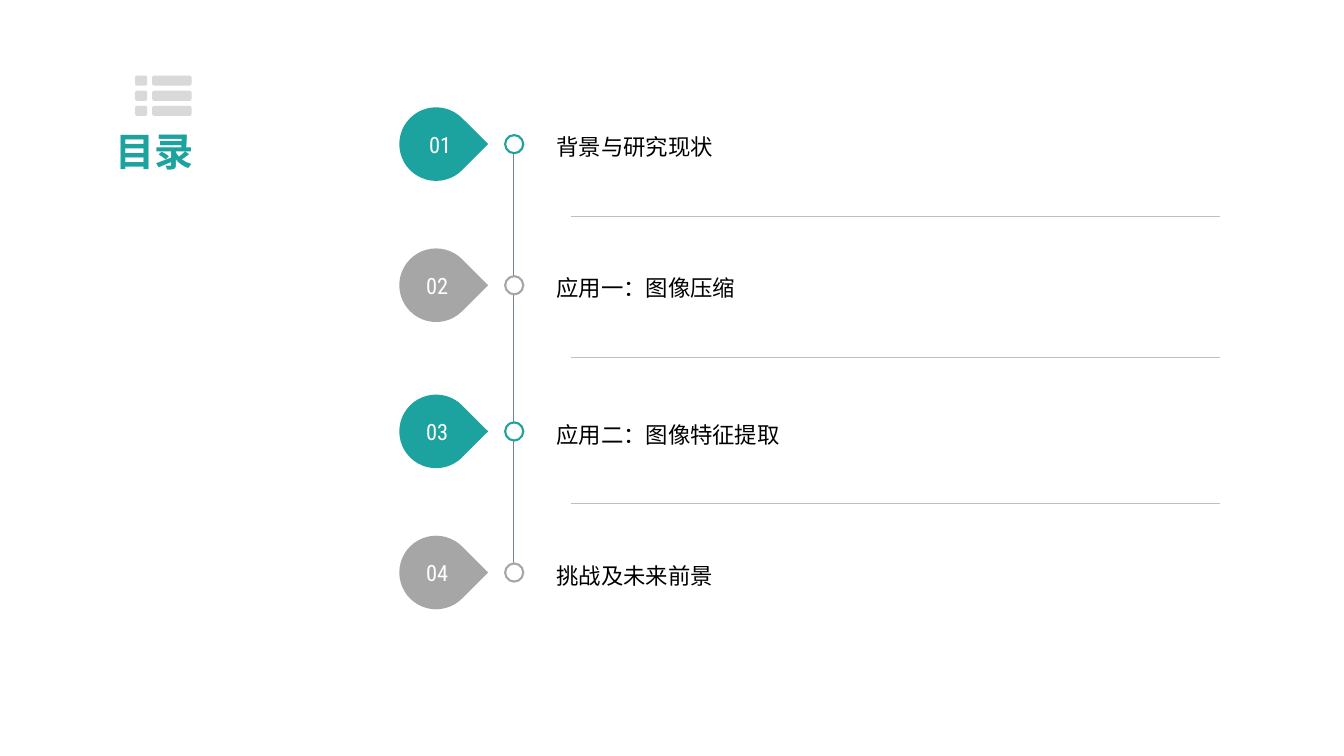
import lxml.etree
import pptx
import pptx.dml.color
import pptx.enum.shapes
import pptx.enum.text
import pptx.oxml.ns
import pptx.util

Inches = pptx.util.Inches
Pt = pptx.util.Pt
SHAPE = pptx.enum.shapes.MSO_SHAPE
ALIGN = pptx.enum.text.PP_ALIGN

COLORS = {
    "teal": "1CA39F",
    "gray": "A6A6A6",
    "icon": "D9D9D9",
    "axis": "768394",
    "rule": "BFBFBF",
    "white": "FFFFFF",
    "black": "000000",
}
TITLE = {"size": Pt(28), "name": "Arial", "bold": True}
NUMBER = {"size": Pt(16), "name": "Roboto Condensed"}
ENTRY = {"size": Pt(16), "name": "Arial"}

ROWS = [
    ("01", "背景与研究现状", "teal", 1.43, 0.03),
    ("02", "应用一：图像压缩", "gray", 2.83, 0),
    ("03", "应用二：图像特征提取", "teal", 4.28, 0),
    ("04", "挑战及未来前景", "gray", 5.68, 0),
]


def rgb(name):
    return pptx.dml.color.RGBColor.from_string(COLORS[name])


def add_shape(s, kind, x, y, w, h, fill=None, line=None):
    sp = s.shapes.add_shape(kind, Inches(x), Inches(y), Inches(w), Inches(h))
    sp.shadow.inherit = False
    if fill:
        sp.fill.solid()
        sp.fill.fore_color.rgb = rgb(fill)
    else:
        sp.fill.background()
    if line:
        sp.line.color.rgb = rgb(line)
        sp.line.width = Pt(1.5)
    else:
        sp.line.fill.background()
    return sp


def add_line(s, x1, y1, x2, y2, color, width):
    cxn = s.shapes.add_connector(
        pptx.enum.shapes.MSO_CONNECTOR.STRAIGHT,
        Inches(x1), Inches(y1), Inches(x2), Inches(y2))
    cxn.line.color.rgb = rgb(color)
    cxn.line.width = Pt(width)
    lxml.etree.SubElement(cxn.element.spPr, pptx.oxml.ns.qn("a:effectLst"))


def set_text(sp, text, font, color, align, wrap=True, spacing=None):
    tf = sp.text_frame
    tf.word_wrap = wrap
    tf.vertical_anchor = pptx.enum.text.MSO_ANCHOR.MIDDLE
    p = tf.paragraphs[0]
    p.alignment = align
    p.line_spacing = spacing
    r = p.add_run()
    r.text = text
    for key, value in font.items():
        setattr(r.font, key, value)
    r.font.color.rgb = rgb(color)


def add_textbox(s, x, y, w, h):
    return s.shapes.add_textbox(Inches(x), Inches(y), Inches(w), Inches(h))


def add_heading(s, x, y, w):
    for row in range(3):
        for dx, width in ((0.36, 0.12), (0.53, 0.39)):
            sp = add_shape(s, SHAPE.ROUNDED_RECTANGLE, x + dx, y + 0.15 * row,
                           width, 0.1, "icon")
            sp.adjustments[0] = 0.2
    set_text(add_textbox(s, x, y + 0.55, w, 0.4), "目录", TITLE, "teal", ALIGN.RIGHT)


def add_entry(s, x, cy, w, number, text, color, shift):
    drop = add_shape(s, SHAPE.TEAR, x, cy - 0.365, 0.73, 0.73, color)
    drop.rotation = 45
    label = add_shape(s, SHAPE.OVAL, x + 0.02 + shift, cy - 0.355, 0.71, 0.71)
    set_text(label, number, NUMBER, "white", ALIGN.CENTER, wrap=False)
    add_shape(s, SHAPE.OVAL, x + 1.05, cy - 0.09, 0.18, 0.18, "white", color)
    box = add_textbox(s, x + 1.46, cy - 0.265, w - 1.46, 0.53)
    set_text(box, text, ENTRY, "black", ALIGN.LEFT, spacing=1.2)


def add_contents(s, x, w):
    axis_x = x + 1.13
    add_line(s, axis_x, ROWS[0][3] + 0.09, axis_x, ROWS[-1][3] - 0.09, "axis", 0.5)
    for number, text, color, cy, shift in ROWS:
        add_entry(s, x, cy, w, number, text, color, shift)
    for row in ROWS[:-1]:
        y = row[3] + 0.71
        add_line(s, x + 1.7, y, x + w, y, "rule", 0.25)


def main():
    prs = pptx.Presentation()
    prs.slide_width = Inches(13.33)
    prs.slide_height = Inches(7.5)
    s = prs.slides.add_slide(prs.slide_layouts[6])
    add_heading(s, 0.98, 0.75, 1.04)
    add_contents(s, 3.96, 8.14)
    prs.save("out.pptx")


if __name__ == "__main__":
    main()
